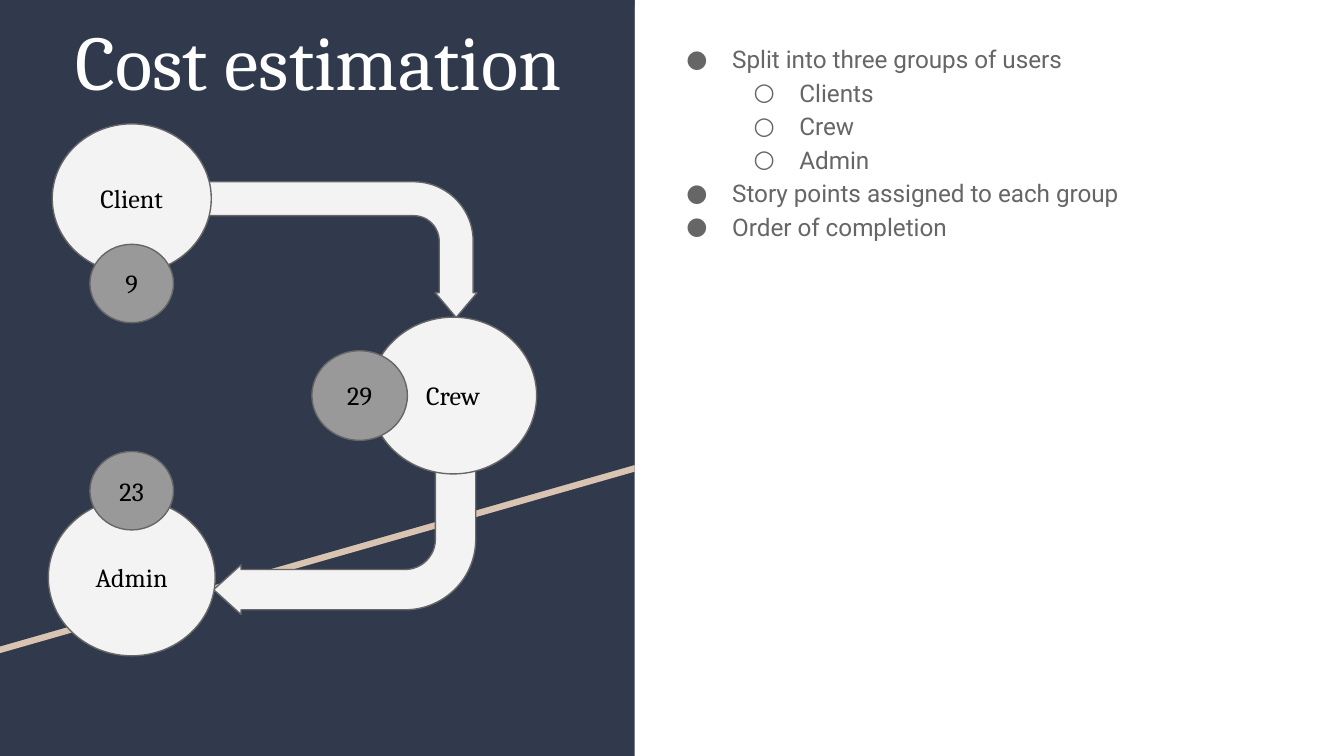
from lxml import etree
from pptx import Presentation
from pptx.dml.color import RGBColor
from pptx.enum.shapes import MSO_SHAPE as SHAPE
from pptx.enum.text import MSO_ANCHOR as ANCHOR, MSO_AUTO_SIZE as AUTO, PP_ALIGN as ALIGN
from pptx.oxml.ns import qn
from pptx.util import Pt

NAVY, SAND, WHITE, BLACK = "31394D", "D9C4B1", "FFFFFF", "000000"
PALE, GREY, DARK = "F3F3F3", "999999", "666666"
SERIF, SANS = "Cambria", "Roboto"
MARGIN = 7.2


def color(value):
    return RGBColor.from_string(value)


def paint(sp, fill, line=None):
    sp.shadow.inherit = False
    sp.fill.solid()
    sp.fill.fore_color.rgb = color(fill)
    if line:
        sp.line.color.rgb = color(line)
        sp.line.width = Pt(0.75)
    else:
        sp.line.fill.background()


def add_run(p, text, size, font, value):
    r = p.add_run()
    r.text = text
    r.font.size, r.font.name = Pt(size), font
    r.font.color.rgb = color(value)


def set_frame(tf, anchor):
    tf.word_wrap = True
    tf.auto_size = AUTO.NONE
    tf.vertical_anchor = anchor
    tf.margin_left = tf.margin_right = tf.margin_top = tf.margin_bottom = Pt(MARGIN)


def add_shape(s, kind, x, y, w, h, fill, line=None):
    sp = s.shapes.add_shape(kind, Pt(x), Pt(y), Pt(w), Pt(h))
    paint(sp, fill, line)
    return sp


def add_backdrop(s, x, y, w, h):
    add_shape(s, SHAPE.RECTANGLE, x, y, w, h, NAVY)
    for top, fill in ((3.6, SAND), (0, NAVY)):
        corners = [(0, 0), (w, 0), (w, 249.12), (0, 346.32)]
        points = [(Pt(x + px), Pt(y + top + py)) for px, py in corners]
        builder = s.shapes.build_freeform(*points[0])
        builder.add_line_segments(points[1:], close=True)
        paint(builder.convert_to_shape(), fill)


def add_title(s, x, y, w, h):
    title = s.shapes.title
    title.element.getparent().append(title.element)
    title.left, title.top, title.width, title.height = Pt(x), Pt(y), Pt(w), Pt(h)
    set_frame(title.text_frame, ANCHOR.TOP)
    p = title.text_frame.paragraphs[0]
    p.alignment = ALIGN.CENTER
    add_run(p, "Cost estimation", 41.4, SERIF, WHITE)


def add_flow(s, x, y):
    arrows = [
        (120.24, -5.76, 72.72, 146.16, 90, 0.182),
        (88.56, 176.4, 140.4, 86.4, 180, 0.169),
    ]
    for left, top, w, h, turn, head in arrows:
        arrow = add_shape(s, SHAPE.BENT_ARROW, x + left, y + top, w, h, PALE, DARK)
        arrow.rotation = turn
        for i, value in enumerate((0.25, 0.154, head, 0.438)):
            arrow.adjustments[i] = value

    circles = [
        ("Client", 2.1, 0, 85.2, 80, PALE),
        ("Admin", 0, 201, 89.4, 84, PALE),
        ("Crew", 172.2, 103.5, 89.4, 84, PALE),
        ("9", 22.3, 64.5, 44.8, 42, GREY),
        ("29", 141.2, 121.5, 51.2, 48, GREY),
        ("23", 22.3, 175.5, 44.8, 42, GREY),
    ]
    for text, left, top, w, h, fill in circles:
        circle = add_shape(s, SHAPE.OVAL, x + left, y + top, w, h, fill, DARK)
        set_frame(circle.text_frame, ANCHOR.MIDDLE)
        p = circle.text_frame.paragraphs[0]
        p.alignment = ALIGN.CENTER
        add_run(p, text, 14, SERIF, BLACK)


def set_bullet(p, level):
    p.level = level
    p.line_spacing = 1.15
    pPr = p._p.get_or_add_pPr()
    pPr.set("marL", str(Pt(36 * (level + 1))))
    pPr.set("indent", str(Pt(-24.5)))
    tint = etree.SubElement(pPr, qn("a:buClr"))
    etree.SubElement(tint, qn("a:srgbClr"), val=DARK)
    etree.SubElement(pPr, qn("a:buFont"), typeface=SANS)
    etree.SubElement(pPr, qn("a:buChar"), char="●○"[level])


def add_notes_list(s, x, y, w, h):
    items = [
        (0, "Split into three groups of users"),
        (1, "Clients"),
        (1, "Crew"),
        (1, "Admin"),
        (0, "Story points assigned to each group"),
        (0, "Order of completion"),
    ]
    tf = s.shapes.add_textbox(Pt(x), Pt(y), Pt(w), Pt(h)).text_frame
    set_frame(tf, ANCHOR.TOP)
    for i, (level, text) in enumerate(items):
        p = tf.add_paragraph() if i else tf.paragraphs[0]
        set_bullet(p, level)
        add_run(p, text, 13, SANS, DARK)


def main():
    prs = Presentation()
    prs.slide_width, prs.slide_height = Pt(720), Pt(405)
    s = prs.slides.add_slide(prs.slide_layouts[5])
    add_backdrop(s, 0, 0, 340, 405)
    add_title(s, 0, 0, 341, 111.6)
    add_flow(s, 25.9, 66.4)
    add_notes_list(s, 349.2, 14.4, 328.3, 322.6)
    prs.save("out.pptx")


if __name__ == "__main__":
    main()
